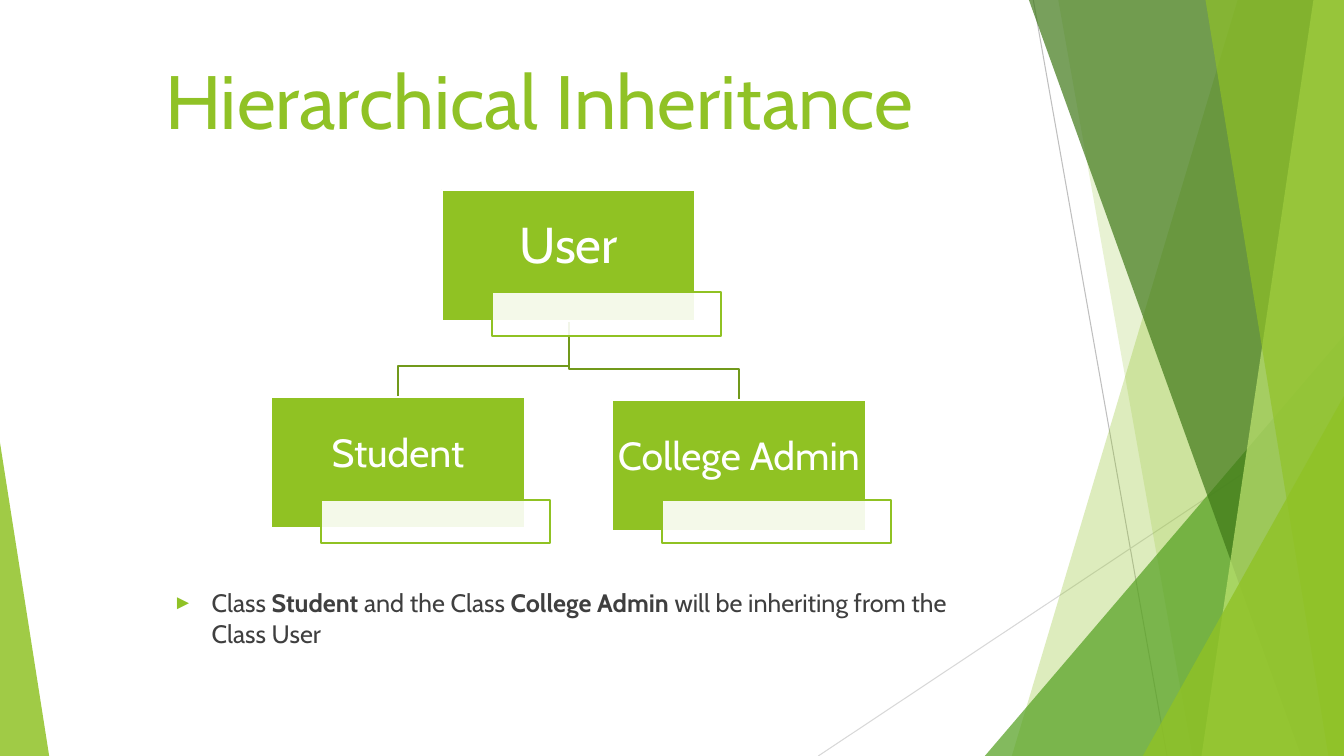
from lxml import etree
from pptx import Presentation, util as u
from pptx.dml.color import RGBColor
from pptx.enum import shapes as s, text as t
from pptx.oxml import ns

WIDE, HIGH = 33.87, 19.05
FONT = "Cabin"
LIME, LEAF, WHITE = "90C226", "90C223", "FFFFFF"


def rgb(code):
    return RGBColor.from_string(code)


def sub(parent, tag, **attrs):
    return etree.SubElement(parent, ns.qn(tag), **attrs)


def paint(shape, code, alpha=100, edge=None):
    """Fill a shape, see-through below alpha 100, with an optional outline."""
    shape.shadow.inherit = False
    shape.fill.solid()
    shape.fill.fore_color.rgb = rgb(code)
    if alpha < 100:
        tint = next(shape.element.spPr.iter(ns.qn("a:srgbClr")))
        sub(tint, "a:alpha", val=str(alpha * 1000))
    if edge:
        shape.line.color.rgb = rgb(edge)
        shape.line.width = u.Pt(1.5)
    else:
        shape.line.fill.background()


def style(para, size, code):
    para.font.name = FONT
    para.font.size = u.Pt(size)
    para.font.color.rgb = rgb(code)


def place(shape, box):
    shape.left, shape.top, shape.width, shape.height = map(u.Cm, box)


def trace(slide, points, close):
    points = [(u.Cm(x), u.Cm(y)) for x, y in points]
    build = slide.shapes.build_freeform(*points[0])
    build.add_line_segments(points[1:], close=close)
    return build.convert_to_shape()


def ray(slide, start, end, code):
    line = slide.shapes.add_connector(
        s.MSO_CONNECTOR.STRAIGHT, *map(u.Cm, start + end))
    line.line.color.rgb = rgb(code)
    line.line.width = u.Pt(0.75)
    sub(line.element.spPr, "a:effectLst")


def band(slide, top, foot, code, alpha):
    """Facet from two points on the top and bottom edges to the right edge."""
    points = [(top, 0), (WIDE, 0), (WIDE, HIGH), (foot, HIGH)]
    paint(trace(slide, points, True), code, alpha)


def wedge(slide, left, top, width, apex, code, alpha):
    """Triangle standing on the bottom edge; apex is 0 for left, 1 for right."""
    box = (left, top, width, HIGH - top)
    shape = slide.shapes.add_shape(
        s.MSO_SHAPE.ISOSCELES_TRIANGLE, *map(u.Cm, box))
    shape.adjustments[0] = apex
    paint(shape, code, alpha)


def facets(slide):
    ray(slide, (26.04, 0), (29.41, HIGH), "BFBFBF")
    ray(slide, (WIDE, 10.24), (20.62, HIGH), "D8D8D8")
    band(slide, 31.19, 25.5, LIME, 30)
    band(slide, 26.67, 30.05, LIME, 20)
    wedge(slide, 24.82, 8.46, 9.05, 1, "54A021", 72)
    band(slide, 25.93, 32.79, "3F7818", 70)
    band(slide, 33.1, 30.28, "BFE471", 70)
    band(slide, 30.38, 33.48, LIME, 65)
    wedge(slide, 28.8, 9.98, 5.07, 1, LIME, 80)
    wedge(slide, 0, 11.15, 1.24, 0, LIME, 85)


def node(slide, box, name, size, drop):
    """Class box with an empty tag, drop below the box's top."""
    left, top = box[:2]
    card = slide.shapes.add_shape(s.MSO_SHAPE.RECTANGLE, *map(u.Cm, box))
    paint(card, LEAF, edge=WHITE)
    frame = card.text_frame
    frame.word_wrap = True
    frame.vertical_anchor = t.MSO_ANCHOR.MIDDLE
    frame.margin_left = frame.margin_right = frame.margin_top = u.Cm(0.05)
    frame.margin_bottom = u.Cm(0.46)
    para = frame.paragraphs[0]
    para.text = name
    para.alignment = t.PP_ALIGN.CENTER
    para.line_spacing = 0.9
    style(para, size, WHITE)
    tag = slide.shapes.add_shape(
        s.MSO_SHAPE.RECTANGLE,
        *map(u.Cm, (left + 1.27, top + drop, 5.77, 1.09)))
    paint(tag, WHITE, 90, LEAF)


def tree(slide, left, top):
    wide, high = 6.4, 3.3
    root = (left + 4.3, top, wide, high)
    kids = [("College Admin", 8.59, 5.3, 2.52), ("Student", 0, 5.23, 2.59)]
    mid, base = root[0] + wide / 2, top + high
    for _, x, y, _ in kids:
        bend, end = top + y - 0.78, left + x + wide / 2
        path = [(mid, base), (mid, bend), (end, bend), (end, top + y)]
        link = trace(slide, path, False)
        link.shadow.inherit = False
        link.fill.background()
        link.line.color.rgb = rgb("71991B")
        link.line.width = u.Pt(1.5)
    node(slide, root, "User", 36, 2.59)
    for name, x, y, drop in reversed(kids):
        node(slide, (left + x, top + y, wide, high), name, 28, drop)


def fit(holder, box):
    """Move a placeholder and return its frame, top-anchored at fixed size."""
    place(holder, box)
    frame = holder.text_frame
    frame.word_wrap = True
    frame.auto_size = t.MSO_AUTO_SIZE.NONE
    frame.vertical_anchor = t.MSO_ANCHOR.TOP
    return frame


def title(slide, box):
    para = fit(slide.shapes.title, box).paragraphs[0]
    para.text = "Hierarchical Inheritance"
    para.alignment = t.PP_ALIGN.CENTER
    style(para, 54, LIME)


def note(slide, box):
    para = fit(slide.placeholders[1], box).paragraphs[0]
    parts = [("Class ", False), ("Student", True), (" and the Class ", False),
             ("College Admin ", True),
             ("will be inheriting from the Class User", False)]
    for words, bold in parts:
        run = para.add_run()
        run.text = words
        run.font.bold = bold
    para.space_before = u.Pt(0)
    props = para._p.get_or_add_pPr()
    props.set("marL", str(u.Cm(0.97)))
    props.set("indent", str(u.Cm(-0.97)))
    sub(sub(props, "a:buClr"), "a:srgbClr", val=LIME)
    sub(props, "a:buSzPct", val="80000")
    sub(props, "a:buChar", char="►")
    style(para, 18, "3F3F3F")


def main():
    deck = Presentation()
    deck.slide_width, deck.slide_height = u.Cm(WIDE), u.Cm(HIGH)
    slide = deck.slides.add_slide(deck.slide_layouts[1])
    facets(slide)
    tree(slide, 6.83, 4.78)
    title(slide, (2.92, 1.22, 21.34, 2.57))
    note(slide, (4.11, 14.68, 21.08, 2.82))
    deck.save("out.pptx")


if __name__ == "__main__":
    main()
